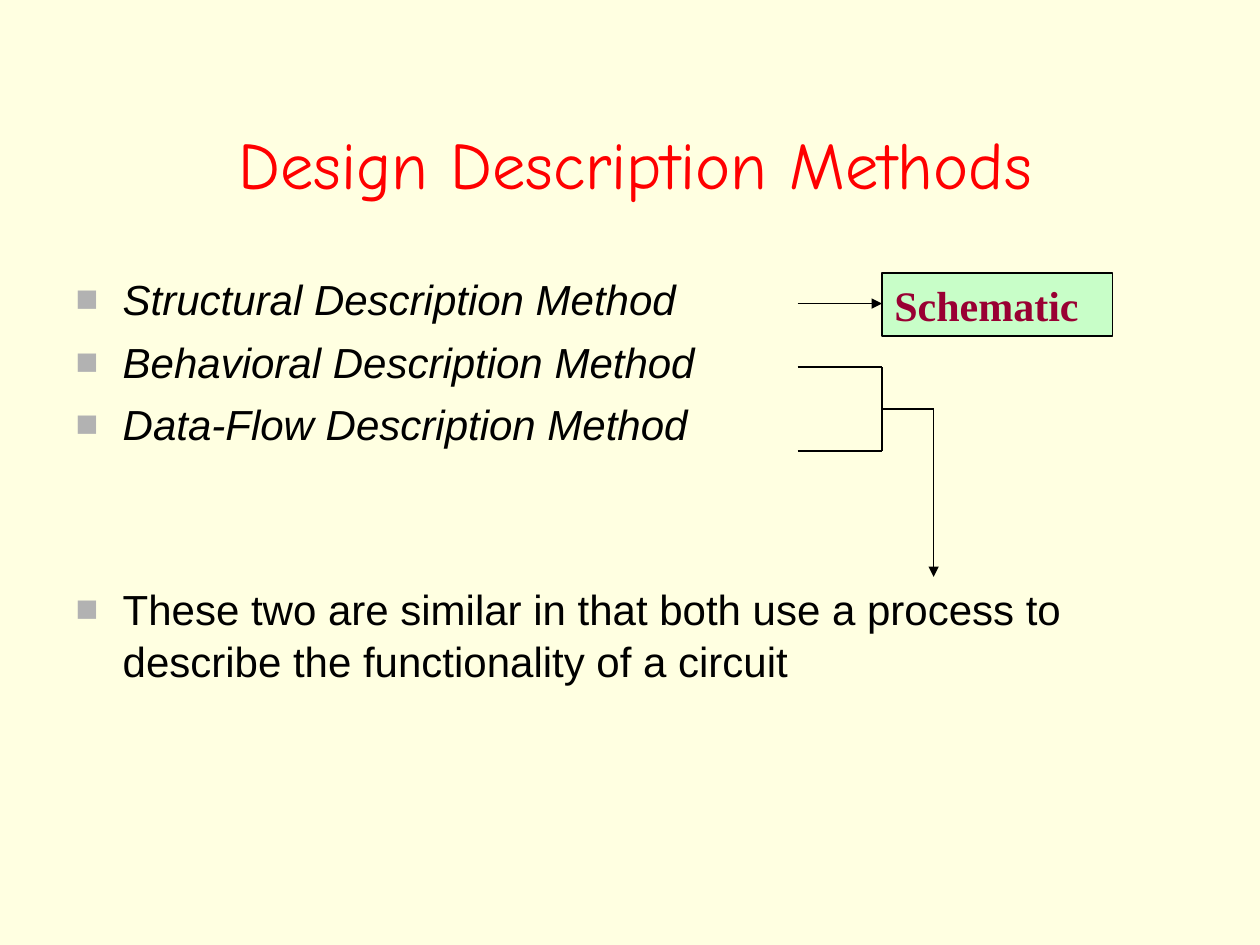
from lxml import etree
from pptx import Presentation
from pptx.dml.color import RGBColor
from pptx.enum.shapes import MSO_CONNECTOR, MSO_SHAPE
from pptx.enum.text import MSO_ANCHOR, MSO_AUTO_SIZE, PP_ALIGN
from pptx.oxml.ns import qn
from pptx.util import Cm, Pt

STRAIGHT = MSO_CONNECTOR.STRAIGHT
RECTANGLE = MSO_SHAPE.RECTANGLE
MIDDLE, TOP = MSO_ANCHOR.MIDDLE, MSO_ANCHOR.TOP
CENTER, LEFT = PP_ALIGN.CENTER, PP_ALIGN.LEFT
NO_AUTOFIT = MSO_AUTO_SIZE.NONE

TITLE = "Design Description Methods"
METHODS = [
    "Structural Description Method",
    "Behavioral Description Method",
    "Data-Flow Description Method",
]
SUMMARY = ("These two are similar in that both use a process to "
           "describe the functionality of a circuit")
RESULT = "Schematic"

THEME = {
    "background": "FFFFE1", "line": "000000", "box": "C8FEC8", "bullet": "B2B2B2",
    "title": {"font": "Comic Neue", "size": 38, "color": "FF0000"},
    "body": {"font": "Arial", "size": 24, "color": "000000"},
    "result": {"font": "Times New Roman", "size": 24, "color": "990033"},
}

TITLE_AREA = (0.64, 1.7, 24.33, 3.18)
BODY_AREA = (1.27, 5.36, 22.5, 8.4)
RESULT_AREA = (17.78, 5.51, 4.65, 1.27)
LINES_LEFT, JOIN_X, DROP_X = 16.08, 17.78, 18.82
STRUCTURAL_Y, BEHAVIORAL_Y, DATA_FLOW_Y, DROP_END_Y = 6.12, 7.4, 9.09, 11.63
INDENT = 0.95


def color(value):
    return RGBColor.from_string(value)


def add_bullet(paragraph):
    properties = paragraph._p.get_or_add_pPr()
    properties.set("marL", str(Cm(INDENT)))
    properties.set("indent", str(-Cm(INDENT)))
    bullet_color = etree.SubElement(properties, qn("a:buClr"))
    etree.SubElement(bullet_color, qn("a:srgbClr"), val=THEME["bullet"])
    etree.SubElement(properties, qn("a:buSzPct"), val="90000")
    etree.SubElement(properties, qn("a:buFont"), typeface="Arial")
    etree.SubElement(properties, qn("a:buChar"), char="■")


def write(paragraph, text, style, align=LEFT, bold=False, italic=False,
          bullet=False, before=0, spacing=1.0):
    if bullet:
        add_bullet(paragraph)
    paragraph.alignment = align
    paragraph.space_before = Pt(before)
    paragraph.line_spacing = spacing
    run = paragraph.add_run()
    run.text = text
    run.font.name = style["font"]
    run.font.size = Pt(style["size"])
    run.font.color.rgb = color(style["color"])
    run.font.bold = bold
    run.font.italic = italic


def place(shape, area, anchor):
    shape.left, shape.top, shape.width, shape.height = map(Cm, area)
    frame = shape.text_frame
    frame.word_wrap = True
    frame.auto_size = NO_AUTOFIT
    frame.vertical_anchor = anchor
    return frame


def add_line(shapes, start, end, arrow=False):
    connector = shapes.add_connector(STRAIGHT, *map(Cm, start + end))
    connector.line.color.rgb = color(THEME["line"])
    connector.line.width = Pt(1)
    if arrow:
        etree.SubElement(connector.line._get_or_add_ln(), qn("a:tailEnd"), type="triangle")
    etree.SubElement(connector._element.spPr, qn("a:effectLst"))


def add_list(frame):
    for index, method in enumerate(METHODS):
        paragraph = frame.add_paragraph() if index else frame.paragraphs[0]
        write(paragraph, method, THEME["body"], italic=True, bullet=True,
              before=6 if index else 0, spacing=1.03)
    write(frame.add_paragraph(), SUMMARY, THEME["body"], bullet=True,
          before=76, spacing=1.03)


def add_bracket(slide):
    middle_y = (BEHAVIORAL_Y + DATA_FLOW_Y) / 2
    shapes = slide.shapes.add_group_shape().shapes
    for y in (BEHAVIORAL_Y, DATA_FLOW_Y):
        add_line(shapes, (LINES_LEFT, y), (JOIN_X, y))
    add_line(shapes, (JOIN_X, BEHAVIORAL_Y), (JOIN_X, DATA_FLOW_Y))
    add_line(shapes, (JOIN_X, middle_y), (DROP_X, middle_y))
    add_line(shapes, (DROP_X, middle_y), (DROP_X, DROP_END_Y), arrow=True)


def add_result(slide):
    box = slide.shapes.add_shape(RECTANGLE, *map(Cm, RESULT_AREA))
    box.shadow.inherit = False
    box.fill.solid()
    box.fill.fore_color.rgb = color(THEME["box"])
    box.line.color.rgb = color(THEME["line"])
    box.line.width = Pt(1)
    frame = place(box, RESULT_AREA, MIDDLE)
    write(frame.paragraphs[0], RESULT, THEME["result"], bold=True)


def main():
    presentation = Presentation()
    presentation.slide_width, presentation.slide_height = Cm(25.4), Cm(19.05)
    slide = presentation.slides.add_slide(presentation.slide_layouts[1])
    slide.background.fill.solid()
    slide.background.fill.fore_color.rgb = color(THEME["background"])
    title = place(slide.shapes.title, TITLE_AREA, MIDDLE)
    write(title.paragraphs[0], TITLE, THEME["title"], align=CENTER)
    add_list(place(slide.placeholders[1], BODY_AREA, TOP))
    add_bracket(slide)
    add_line(slide.shapes, (LINES_LEFT, STRUCTURAL_Y), (JOIN_X, STRUCTURAL_Y), arrow=True)
    add_result(slide)
    presentation.save("out.pptx")


if __name__ == "__main__":
    main()
